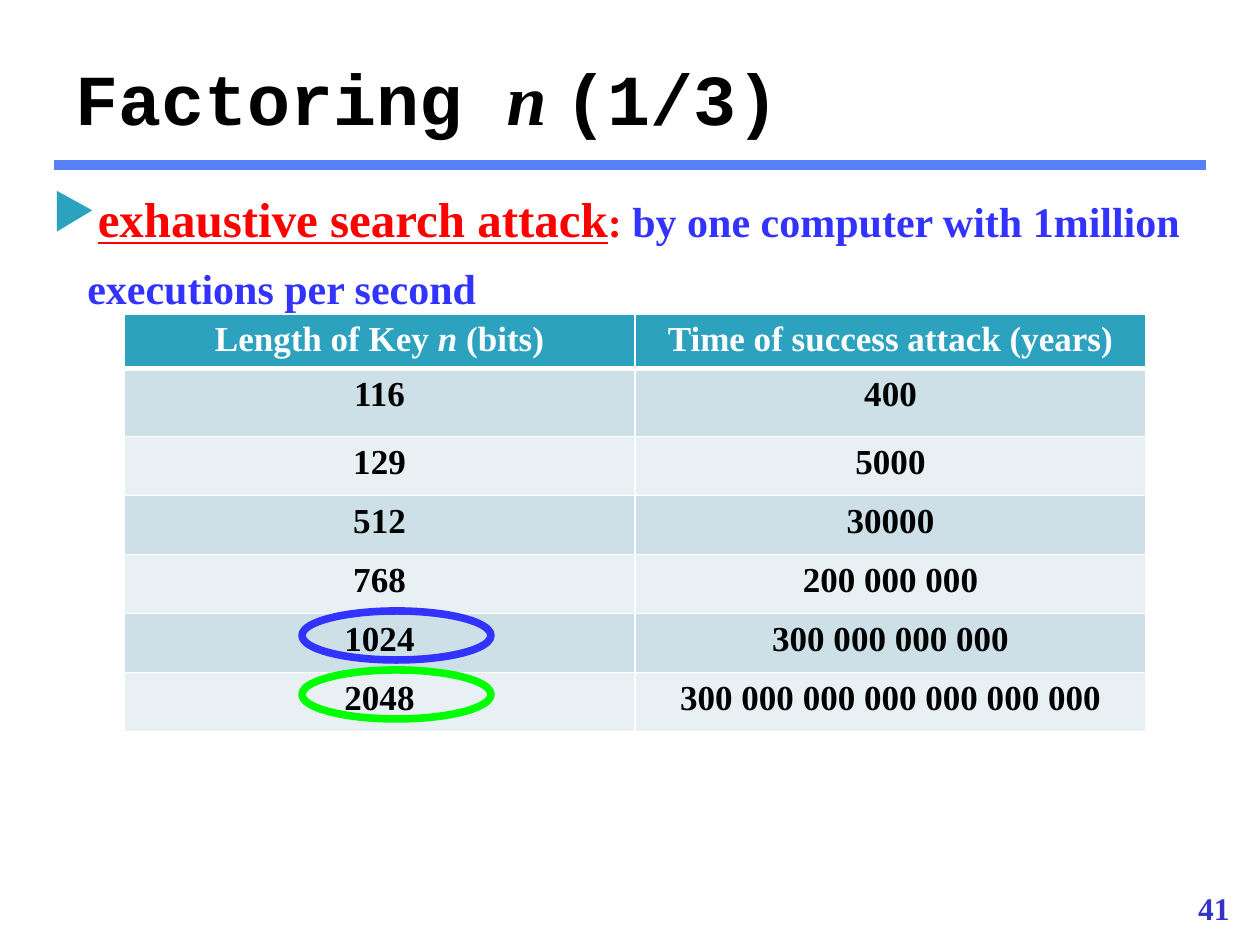
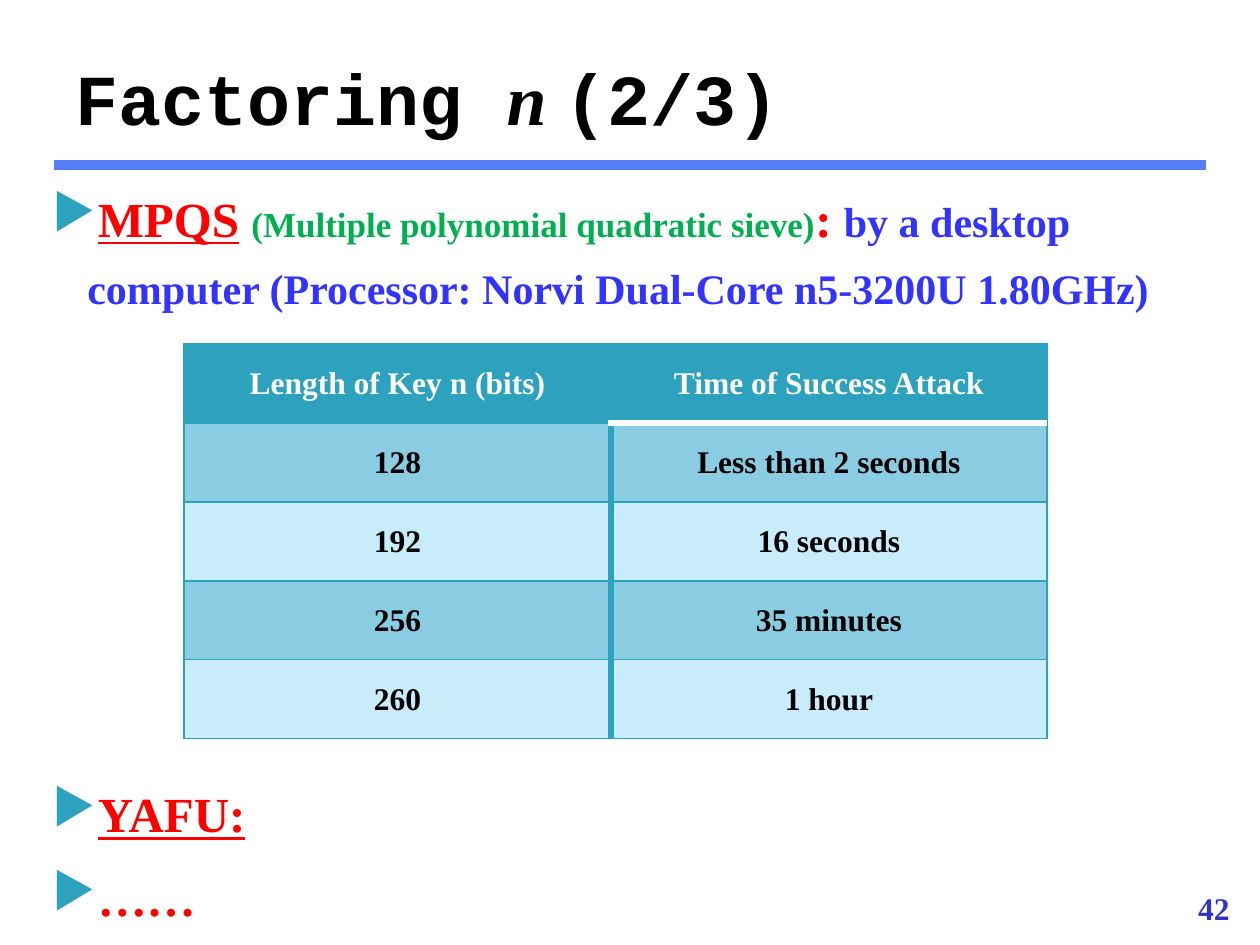
import lxml.etree
import pptx
import pptx.dml.color
import pptx.enum.shapes
import pptx.enum.text
import pptx.oxml.ns
import pptx.util

RGBColor = pptx.dml.color.RGBColor
Align = pptx.enum.text.PP_ALIGN
Anchor = pptx.enum.text.MSO_ANCHOR

PX = 914400 / 126
SERIF = "Times New Roman"
MONO = "Courier New"

BLACK = RGBColor(0x00, 0x00, 0x00)
WHITE = RGBColor(0xFF, 0xFF, 0xFF)
RED = RGBColor(0xFF, 0x00, 0x00)
BLUE = RGBColor(0x33, 0x33, 0xFF)
NUMBER_BLUE = RGBColor(0x33, 0x33, 0xCC)
RULE_BLUE = RGBColor(0x56, 0x80, 0xF8)
GREEN = RGBColor(0x00, 0xB0, 0x50)
LIME = RGBColor(0x00, 0xFF, 0x00)
TEAL = RGBColor(0x2D, 0xA2, 0xBF)
GREY_BANDS = (RGBColor(0xCD, 0xE0, 0xE8), RGBColor(0xE8, 0xF0, 0xF4))
TEAL_BANDS = (RGBColor(0x8A, 0xCC, 0xE2), RGBColor(0xC8, 0xEC, 0xFA))


def px(length):
    """Turn pixels into EMU."""
    return pptx.util.Emu(round(length * PX))


def box(left, top, width, height):
    """Turn a box in pixels into EMU."""
    return px(left), px(top), px(width), px(height)


def add_child(parent, tag, **attributes):
    """Append a drawing element to an XML parent."""
    return lxml.etree.SubElement(parent, pptx.oxml.ns.qn(tag), **attributes)


def add_run(paragraph, text, size, color, font=SERIF, italic=False, underline=False):
    """Add one bold run of text."""
    run = paragraph.add_run()
    run.text = text
    run.font.name = font
    run.font.size = pptx.util.Pt(size)
    run.font.bold = True
    run.font.italic = italic
    run.font.underline = underline
    run.font.color.rgb = color


def add_title(slide, part):
    """Format the title placeholder and fill in its part number."""
    title = slide.shapes.title
    title.left, title.top, title.width, title.height = box(63, 38, 1134, 117)
    frame = title.text_frame
    frame.auto_size = pptx.enum.text.MSO_AUTO_SIZE.NONE
    frame.vertical_anchor = Anchor.MIDDLE
    paragraph = frame.paragraphs[0]
    paragraph.alignment = Align.LEFT
    add_run(paragraph, "Factoring ", 41, BLACK, MONO)
    add_run(paragraph, "n ", 41, BLACK, italic=True)
    add_run(paragraph, f"({part}/3)", 41, BLACK, MONO)


def add_title_rule(slide):
    """Draw the rule under the title."""
    rule = slide.shapes.add_connector(
        pptx.enum.shapes.MSO_CONNECTOR.STRAIGHT, px(54), px(165), px(1206), px(165))
    rule.line.color.rgb = RULE_BLUE
    rule.line.width = pptx.util.Pt(5.75)
    add_child(rule.element.spPr, "a:effectLst")


def add_text_frame(slide, *bounds):
    """Add a wrapping text box and return its frame."""
    frame = slide.shapes.add_textbox(*box(*bounds)).text_frame
    frame.word_wrap = True
    return frame


def add_slide_number(slide, number):
    """Write the slide number in the lower right corner."""
    frame = add_text_frame(slide, 1106, 883, 136, 50)
    frame.vertical_anchor = Anchor.BOTTOM
    frame.paragraphs[0].alignment = Align.RIGHT
    add_run(frame.paragraphs[0], str(number), 18, NUMBER_BLUE)


def add_bullets(slide, bounds, bullets):
    """Add a box of triangle bullets, each a list of run settings."""
    frame = add_text_frame(slide, *bounds)
    for index, runs in enumerate(bullets):
        paragraph = frame.add_paragraph() if index else frame.paragraphs[0]
        paragraph.line_spacing = 1.3
        paragraph.space_before = pptx.util.Pt(4 if index else 0)
        properties = paragraph._p.get_or_add_pPr()
        properties.set("marL", str(px(50)))
        properties.set("indent", str(px(-35)))
        bullet_color = add_child(properties, "a:buClr")
        add_child(bullet_color, "a:srgbClr", val=str(TEAL))
        add_child(properties, "a:buChar", char="▶")
        for text, size, color, underline in runs:
            add_run(paragraph, text, size, color, underline=underline)


def set_borders(cell, **sides):
    """Set the borders of a cell as L, R, T and B pairs of colour and width."""
    properties = cell._tc.get_or_add_tcPr()
    for side in "LRTB":
        color, width = sides[side]
        line = add_child(properties, f"a:ln{side}", w=str(pptx.util.Pt(width)))
        fill = add_child(line, "a:solidFill")
        add_child(fill, "a:srgbClr", val=str(color))


def add_table(slide, left, top, widths, heights, headers, rows, size, bands, anchor, borders):
    """Add a banded table whose borders follow from row and column."""
    table = slide.shapes.add_table(
        len(heights), len(widths), *box(left, top, sum(widths), sum(heights))).table
    table.first_row = table.horz_banding = False
    for column, width in zip(table.columns, widths):
        column.width = px(width)
    for row, height in zip(table.rows, heights):
        row.height = px(height)
    body = [[[(text, False)] for text in row] for row in rows]
    for row_index, row in enumerate([headers] + body):
        for column_index, runs in enumerate(row):
            cell = table.cell(row_index, column_index)
            set_borders(cell, **borders(row_index, column_index))
            cell.fill.solid()
            cell.fill.fore_color.rgb = bands[(row_index - 1) % 2] if row_index else TEAL
            cell.vertical_anchor = anchor
            paragraph = cell.text_frame.paragraphs[0]
            paragraph.alignment = Align.CENTER
            for text, italic in runs:
                add_run(paragraph, text, size, BLACK if row_index else WHITE, italic=italic)


def white_borders(row, column):
    """Give thin white borders with a thick line under the header."""
    thin, thick = (WHITE, 1), (WHITE, 3)
    return dict(L=thin, R=thin, T=thick if row == 1 else thin, B=thin if row else thick)


def teal_borders(row, column):
    """Give teal borders with a thick divider and a white line under the right header."""
    thin, divider, header_line = (TEAL, 0.75), (TEAL, 4.33), (WHITE, 4.33)
    return dict(L=divider if column else thin,
                R=thin if column else divider,
                T=header_line if column and row == 1 else thin,
                B=header_line if column and row == 0 else thin)


def add_ring(slide, top, color):
    """Ring a key length in the first column."""
    ring = slide.shapes.add_shape(
        pptx.enum.shapes.MSO_SHAPE.OVAL, *box(302, top, 189, 49))
    ring.shadow.inherit = False
    ring.fill.background()
    ring.line.color.rgb = color
    ring.line.width = pptx.util.Pt(4.33)


def add_slide(presentation, part, number):
    """Add a slide with the shared title, rule and number."""
    slide = presentation.slides.add_slide(presentation.slide_layouts[5])
    add_title(slide, part)
    add_title_rule(slide)
    add_slide_number(slide, number)
    return slide


def add_exhaustive_search_slide(presentation):
    """Build the slide on exhaustive search."""
    slide = add_slide(presentation, 1, 41)
    add_bullets(slide, (25, 165, 1197, 645), [[
        ("exhaustive search attack", 28, RED, True),
        (":", 24, RED, False),
        (" by one computer with 1million executions per second", 24, BLUE, False),
    ]])
    headers = [[("Length of Key ", False), ("n", True), (" (bits)", False)],
               [("Time of success attack (years)", False)]]
    rows = [("116", "400"), ("129", "5000"), ("512", "30000"), ("768", "200 000 000"),
            ("1024", "300 000 000 000"), ("2048", "300 000 000 000 000 000 000")]
    add_table(slide, 124, 314, [511] * 2, [51, 68] + [59] * 5, headers, rows,
              20, GREY_BANDS, Anchor.TOP, white_borders)
    add_ring(slide, 670, LIME)
    add_ring(slide, 611, BLUE)


def add_sieve_slide(presentation):
    """Build the slide on the quadratic sieve."""
    slide = add_slide(presentation, 2, 42)
    add_bullets(slide, (25, 165, 1197, 277), [[
        ("MPQS", 28, RED, True),
        (" ", 28, RED, False),
        ("(Multiple polynomial quadratic sieve)", 20, GREEN, False),
        (": ", 28, RED, False),
        ("by a desktop computer (Processor: Norvi Dual-Core n5-3200U 1.80GHz)",
         24, BLUE, False),
    ]])
    headers = [[("Length of Key n (bits)", False)], [("Time of Success Attack", False)]]
    rows = [("128", "Less than 2 seconds"), ("192", "16 seconds"),
            ("256", "35 minutes"), ("260", "1 hour")]
    add_table(slide, 184, 344, [427, 436], [79] * 5, headers, rows,
              18, TEAL_BANDS, Anchor.MIDDLE, teal_borders)
    add_bullets(slide, (25, 760, 1197, 169), [
        [("YAFU:", 28, RED, True)],
        [("……", 28, RED, False)],
    ])


def main():
    """Build and save the presentation."""
    presentation = pptx.Presentation()
    presentation.slide_width = px(1260)
    presentation.slide_height = px(945)
    add_exhaustive_search_slide(presentation)
    add_sieve_slide(presentation)
    presentation.save("out.pptx")


if __name__ == "__main__":
    main()
